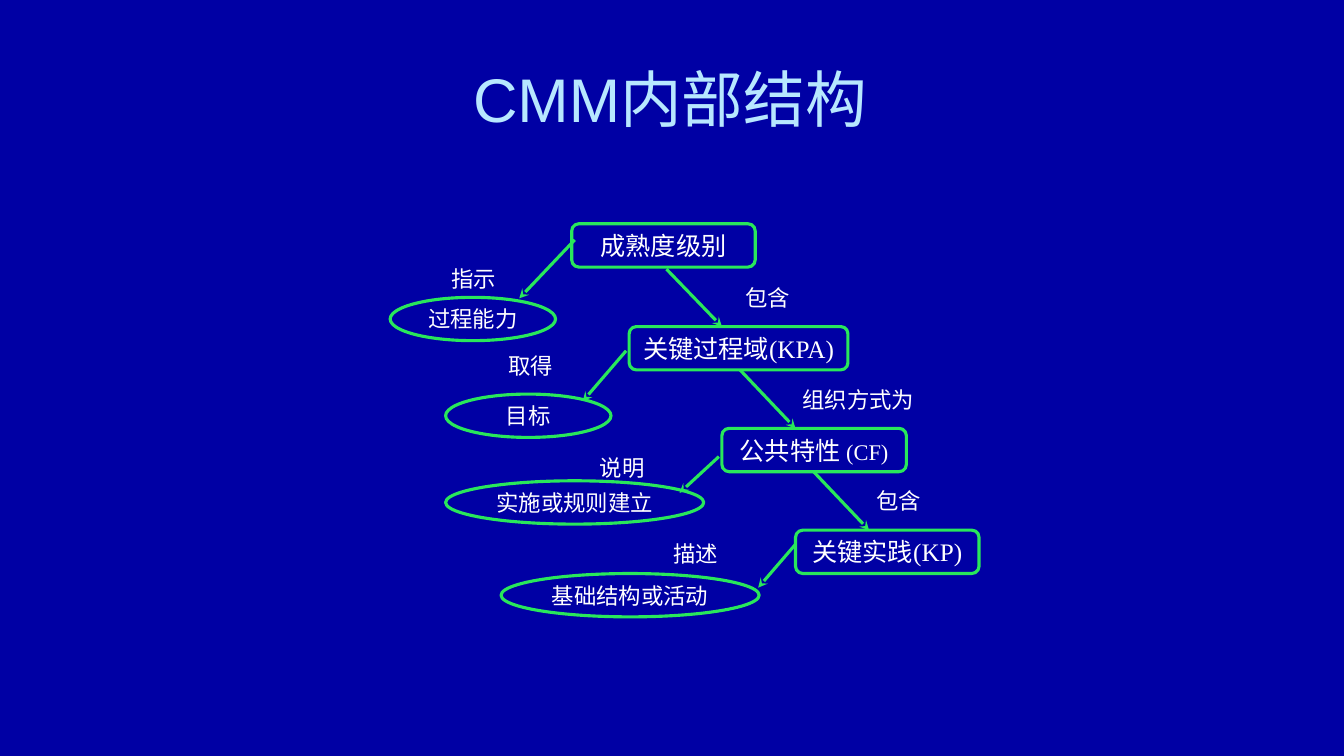
"""Build a slide showing the internal structure of CMM."""
from dataclasses import dataclass

import pptx
import pptx.dml.color
import pptx.enum.shapes
import pptx.enum.text
import pptx.oxml
import pptx.oxml.ns
import pptx.util
from pptx.util import Inches

ALIGN = pptx.enum.text.PP_ALIGN
SHAPE = pptx.enum.shapes.MSO_SHAPE


@dataclass(frozen=True)
class Theme:
    background: str = "0000A4"
    title: str = "B7E7FF"
    text: str = "FFFFFF"
    line: str = "29E75B"
    title_size: int = 44
    level_size: int = 18
    label_size: int = 16
    line_width: float = 2.25
    sans: str = "Arial"
    serif: str = "Times New Roman"


THEME = Theme()
NODE_HEIGHT = 0.43
LABEL_HEIGHT = 0.29

LEVELS = [
    (5.67, 2.22, 1.82, [("成熟度级别", {})]),
    (6.24, 3.24, 2.17, [("关键过程域(KPA)", {})]),
    (7.16, 4.25, 1.83, [("公共特性 ", {"font": THEME.sans}),
                        ("(CF)", {"size": THEME.label_size})]),
    (7.89, 5.26, 1.82, [("关键实践(KP)", {})]),
]
OUTCOMES = [
    (3.87, 2.95, 1.64, "过程能力"),
    (4.42, 3.91, 1.64, "目标"),
    (4.42, 4.77, 2.56, "实施或规则建立"),
    (4.97, 5.69, 2.56, "基础结构或活动"),
]
RELATIONS = [
    (7.16, 2.81, 0.91, "包含", ALIGN.CENTER),
    (7.89, 3.82, 1.46, "组织方式为", ALIGN.JUSTIFY),
    (8.62, 4.82, 0.91, "包含", ALIGN.JUSTIFY),
    (4.24, 2.62, 0.91, "指示", ALIGN.CENTER),
    (4.97, 3.48, 0.91, "取得", ALIGN.JUSTIFY),
    (5.88, 4.49, 0.91, "说明", ALIGN.JUSTIFY),
    (6.61, 5.35, 0.91, "描述", ALIGN.JUSTIFY),
]
ARROWS = [
    (6.61, 2.67, 7.16, 3.24),
    (7.34, 3.67, 7.89, 4.25),
    (8.07, 4.68, 8.62, 5.26),
    (5.70, 2.38, 5.15, 2.96),
    (6.21, 3.48, 5.78, 3.98),
    (7.13, 4.53, 6.74, 4.89),
    (7.89, 5.40, 7.52, 5.83),
]


def rgb(code):
    return pptx.dml.color.RGBColor.from_string(code)


def write(para, text, font=THEME.serif, size=THEME.label_size, color=THEME.text):
    span = para.add_run()
    span.text = text
    span.font.name = font
    span.font.size = pptx.util.Pt(size)
    span.font.color.rgb = rgb(color)


def prepare_text(box, align=ALIGN.CENTER, wrap=True):
    frame = box.text_frame
    frame.word_wrap = wrap
    frame.vertical_anchor = pptx.enum.text.MSO_ANCHOR.MIDDLE
    frame.margin_left = frame.margin_right = Inches(0.07)
    frame.margin_top = frame.margin_bottom = Inches(0.01)
    para = frame.paragraphs[0]
    para.alignment = align
    return para


def style_line(line):
    line.color.rgb = rgb(THEME.line)
    line.width = pptx.util.Pt(THEME.line_width)


def add_title(slide, text):
    title = slide.shapes.title
    title.left, title.top = Inches(0.44), Inches(0.25)
    title.width, title.height = Inches(12.41), Inches(1.45)
    write(prepare_text(title), text, font=THEME.sans,
          size=THEME.title_size, color=THEME.title)


def add_node(slide, kind, left, top, width):
    node = slide.shapes.add_shape(
        kind, Inches(left), Inches(top), Inches(width), Inches(NODE_HEIGHT))
    node.shadow.inherit = False
    node.fill.background()
    style_line(node.line)
    return prepare_text(node, wrap=False)


def add_label(slide, left, top, width, text, align):
    box = slide.shapes.add_textbox(
        Inches(left), Inches(top), Inches(width), Inches(LABEL_HEIGHT))
    write(prepare_text(box, align), text)


def add_arrow(slide, *ends):
    arrow = slide.shapes.add_connector(
        pptx.enum.shapes.MSO_CONNECTOR.STRAIGHT, *map(Inches, ends))
    style_line(arrow.line)
    tail = pptx.oxml.parse_xml(
        f'<a:tailEnd {pptx.oxml.ns.nsdecls("a")} type="stealth"/>')
    arrow.line._get_or_add_ln().append(tail)
    arrow._element.spPr.append(
        pptx.oxml.parse_xml(f'<a:effectLst {pptx.oxml.ns.nsdecls("a")}/>'))


def main():
    deck = pptx.Presentation()
    deck.slide_width, deck.slide_height = Inches(13.33), Inches(7.5)
    slide = deck.slides.add_slide(deck.slide_layouts.get_by_name("Title Only"))
    slide.background.fill.solid()
    slide.background.fill.fore_color.rgb = rgb(THEME.background)

    add_title(slide, "CMM内部结构")
    for left, top, width, spans in LEVELS:
        para = add_node(slide, SHAPE.FLOWCHART_ALTERNATE_PROCESS, left, top, width)
        for text, style in spans:
            write(para, text, **{"size": THEME.level_size, **style})
    for left, top, width, text in OUTCOMES:
        write(add_node(slide, SHAPE.OVAL, left, top, width), text)
    for relation in RELATIONS:
        add_label(slide, *relation)
    for ends in ARROWS:
        add_arrow(slide, *ends)

    deck.save("out.pptx")


if __name__ == "__main__":
    main()
